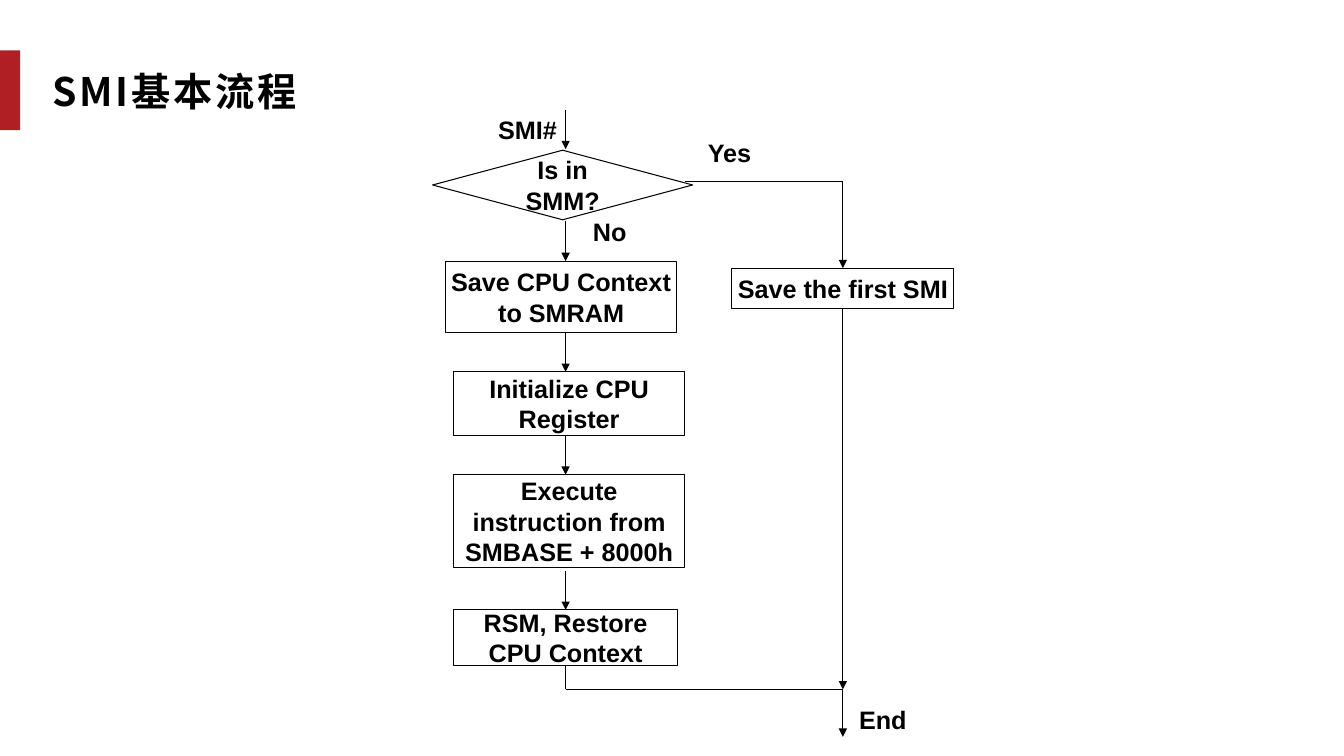
from dataclasses import dataclass

from lxml import etree
from pptx import Presentation
from pptx.dml.color import RGBColor
from pptx.enum import shapes as kinds, text as txt
from pptx.oxml import ns
from pptx.util import Inches, Pt


@dataclass(frozen=True)
class Theme:
    ink: RGBColor = RGBColor(0, 0, 0)
    accent: RGBColor = RGBColor(0xB0, 0x1F, 0x24)
    font: str = "Arial"
    head: str = "Noto Sans CJK SC"
    body: int = 18
    title: int = 28
    line: float = 0.75


THEME = Theme()
RECT = kinds.MSO_SHAPE.RECTANGLE
MAIN_X, SIDE_X, JOIN_Y = 5.61, 8.36, 6.84
TOP, BOTTOM = 0, 2


def write(shape, words, size=THEME.body, font=THEME.font, center=False,
          wrap=True, grow=False, inset=(0.04, 0.04), gap=0):
    """Fill a shape with bold text, one paragraph per line."""
    frame = shape.text_frame
    frame.word_wrap = wrap
    fit = txt.MSO_AUTO_SIZE
    frame.auto_size = fit.SHAPE_TO_FIT_TEXT if grow else fit.NONE
    frame.margin_left = frame.margin_right = Inches(inset[0])
    frame.margin_top = frame.margin_bottom = Inches(inset[1])
    anchor = txt.MSO_ANCHOR
    frame.vertical_anchor = anchor.MIDDLE if center else anchor.TOP
    frame.text = words
    for para in frame.paragraphs:
        para.alignment = txt.PP_ALIGN.CENTER if center else txt.PP_ALIGN.LEFT
        for run in para.runs:
            run.font.name, run.font.size = font, Pt(size)
            run.font.bold = True
            run.font.color.rgb = THEME.ink
            # East Asian face and letter spacing
            props = run.font._element
            etree.SubElement(props, ns.qn("a:ea"), typeface=font)
            if gap:
                props.set("spc", str(gap * 100))


def label(slide, words, area, **style):
    box = slide.shapes.add_textbox(*map(Inches, area))
    write(box, words, grow=True, **style)


def block(slide, kind, area, fill=None):
    shape = slide.shapes.add_shape(kind, *map(Inches, area))
    shape.shadow.inherit = False
    if fill is None:
        shape.fill.background()
        shape.line.color.rgb = THEME.ink
        shape.line.width = Pt(THEME.line)
    else:
        shape.fill.solid()
        shape.fill.fore_color.rgb = fill
        shape.line.fill.background()
    return shape


def step(slide, words, area, kind=RECT, **style):
    shape = block(slide, kind, area)
    write(shape, words, center=True, **style)
    return shape


def link(slide, start, end, arrow=True, source=None, target=None):
    """Draw a line, joined to the source's bottom or the target's top."""
    line = slide.shapes.add_connector(
        kinds.MSO_CONNECTOR.STRAIGHT, *map(Inches, start + end))
    line.line.color.rgb = THEME.ink
    line.line.width = Pt(THEME.line)
    if arrow:
        etree.SubElement(line.get_or_add_ln(), ns.qn("a:tailEnd"),
                         type="triangle")
    etree.SubElement(line.element.spPr, ns.qn("a:effectLst"))
    if source:
        line.begin_connect(source, BOTTOM)
    if target:
        line.end_connect(target, TOP)


def main():
    deck = Presentation()
    deck.slide_width, deck.slide_height = Inches(13.33), Inches(7.5)
    slide = deck.slides.add_slide(deck.slide_layouts[6])

    # Heading
    block(slide, RECT, (0, 0.5, 0.2, 0.79), fill=THEME.accent)
    label(slide, "SMI基本流程", (0.42, 0.62, 2.74, 0.57), size=THEME.title,
          font=THEME.head, wrap=False, inset=(0.1, 0.05), gap=2)

    # Steps
    step(slide, "Is in SMM?", (4.29, 1.49, 2.58, 0.69),
         kind=kinds.MSO_SHAPE.FLOWCHART_DECISION, grow=True)
    for words, area in (
        ("Save CPU Context to SMRAM", (4.42, 2.59, 2.29, 0.71)),
        ("Initialize CPU Register", (4.5, 3.69, 2.29, 0.63)),
        ("Execute instruction from SMBASE + 8000h", (4.5, 4.71, 2.29, 0.92)),
    ):
        step(slide, words, area)
    resume = step(slide, "RSM, Restore\nCPU Context", (4.5, 6.05, 2.22, 0.55),
                  wrap=False)
    first = step(slide, "Save the first SMI", (7.26, 2.66, 2.2, 0.4),
                 wrap=False)

    # Main path
    for top, end in ((1.09, 1.48), (2.19, 2.59), (3.29, 3.69), (4.32, 4.71)):
        link(slide, (MAIN_X, top), (MAIN_X, end))
    link(slide, (MAIN_X, 5.66), (MAIN_X, 6.05), target=resume)
    link(slide, (MAIN_X, 6.6), (MAIN_X, JOIN_Y), arrow=False, source=resume)
    link(slide, (MAIN_X, JOIN_Y), (SIDE_X, JOIN_Y), arrow=False)

    # Side path
    link(slide, (6.79, 1.8), (SIDE_X, 1.8), arrow=False)
    link(slide, (SIDE_X, 1.8), (SIDE_X, 2.66), target=first)
    link(slide, (SIDE_X, 3.06), (SIDE_X, JOIN_Y), source=first)
    link(slide, (SIDE_X, JOIN_Y), (SIDE_X, 7.31))

    # Labels, each wide enough for its word on one line
    for words, left, top, width in (
        ("SMI#", 4.9, 1.09, 0.81),
        ("No", 5.84, 2.11, 0.5),
        ("Yes", 6.98, 1.32, 0.6),
        ("End", 8.48, 6.95, 0.65),
    ):
        label(slide, words, (left, top, width, 0.38))

    deck.save("out.pptx")


if __name__ == "__main__":
    main()
